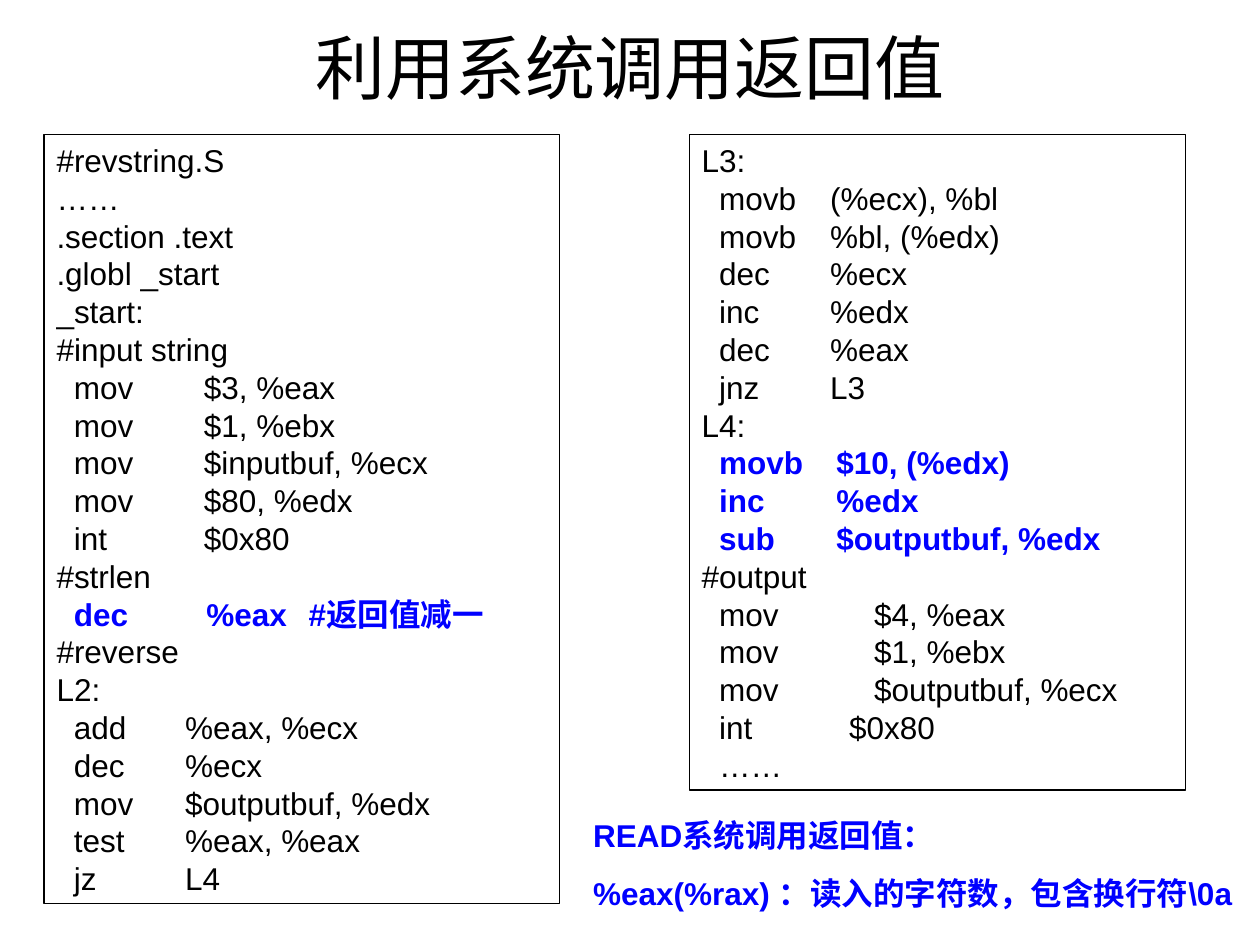
from lxml.etree import SubElement
from pptx import Presentation
from pptx.dml.color import RGBColor
from pptx.enum.shapes import MSO_SHAPE
from pptx.enum.text import MSO_ANCHOR, PP_ALIGN
from pptx.oxml.ns import qn
from pptx.util import Inches, Pt

INK = {"text": "000000", "mark": "0000FF"}

# Code groups: operand column in inches, further columns, ink, lines
LEFT = [
    ([1.17], "text", [
        "#revstring.S", "……", ".section .text", ".globl _start", "_start:",
        "#input string", "  mov\t$3, %eax", "  mov\t$1, %ebx",
        "  mov\t$inputbuf, %ecx", "  mov\t$80, %edx", "  int\t$0x80",
        "#strlen"]),
    ([1.19, 2], "mark", ["  dec\t%eax\t#返回值减一"]),
    ([1.02], "text", [
        "#reverse", "L2:", "  add\t%eax, %ecx", "  dec\t%ecx",
        "  mov\t$outputbuf, %edx", "  test\t%eax, %eax", "  jz\tL4"]),
]
RIGHT = [
    ([1.02], "text", [
        "L3:", "  movb\t(%ecx), %bl", "  movb\t%bl, (%edx)", "  dec\t%ecx",
        "  inc\t%edx", "  dec\t%eax", "  jnz\tL3", "L4:"]),
    ([1.07], "mark", [
        "  movb\t$10, (%edx)", "  inc\t%edx", "  sub\t$outputbuf, %edx"]),
    ([1.37], "text", [
        "#output", "  mov\t$4, %eax", "  mov\t$1, %ebx",
        "  mov\t$outputbuf, %ecx"]),
    ([1.17], "text", ["  int\t$0x80", "  ……"]),
]
NOTE = ["READ系统调用返回值：", "%eax(%rax) ：读入的字符数，包含换行符\\0a"]


def add_run(para, text, size, ink):
    run = para.add_run()
    run.text = text
    font = run.font
    font.name, font.size, font.bold = "Arial", Pt(size), ink == "mark"
    font.color.rgb = RGBColor.from_string(INK[ink])


def next_para(frame, first):
    return frame.paragraphs[0] if first else frame.add_paragraph()


def set_tabs(para, stops):
    tabs = SubElement(para._p.get_or_add_pPr(), qn("a:tabLst"))
    for stop in stops:
        SubElement(tabs, qn("a:tab"), pos=str(Inches(stop)), algn="l")


def add_title(slide, box, text):
    frame = slide.shapes.add_textbox(*map(Inches, box)).text_frame
    frame.word_wrap = True
    frame.vertical_anchor = MSO_ANCHOR.MIDDLE
    para = frame.paragraphs[0]
    para.alignment = PP_ALIGN.CENTER
    add_run(para, text, 40, "text")


def add_code(slide, box, groups):
    shape = slide.shapes.add_shape(MSO_SHAPE.RECTANGLE, *map(Inches, box))
    shape.shadow.inherit = False
    shape.fill.background()
    shape.line.color.rgb = RGBColor.from_string(INK["text"])
    shape.line.width = Pt(0.75)
    frame = shape.text_frame
    frame.word_wrap = True
    frame.vertical_anchor = MSO_ANCHOR.TOP
    first = True
    for stops, ink, lines in groups:
        for line in lines:
            para = next_para(frame, first)
            para.alignment = PP_ALIGN.LEFT
            set_tabs(para, stops)
            add_run(para, line, 18, ink)
            first = False


def add_note(slide, box, lines):
    frame = slide.shapes.add_textbox(*map(Inches, box)).text_frame
    frame.word_wrap = True
    for i, line in enumerate(lines):
        para = next_para(frame, i == 0)
        if i:
            para.space_before = Pt(11.2)
        add_run(para, line, 18, "mark")


def main():
    deck = Presentation()
    deck.slide_width, deck.slide_height = Inches(10), Inches(7.5)
    slide = deck.slides.add_slide(deck.slide_layouts[6])
    add_title(slide, (0.5, 0.3, 9, 0.46), "利用系统调用返回值")
    # Program listing in two columns
    add_code(slide, (0.35, 1.07, 4.09, 6.1), LEFT)
    add_code(slide, (5.47, 1.07, 3.94, 5.2), RIGHT)
    # Remark on the return value
    add_note(slide, (4.61, 6.43, 5.36, 1.16), NOTE)
    deck.save("out.pptx")


if __name__ == "__main__":
    main()
